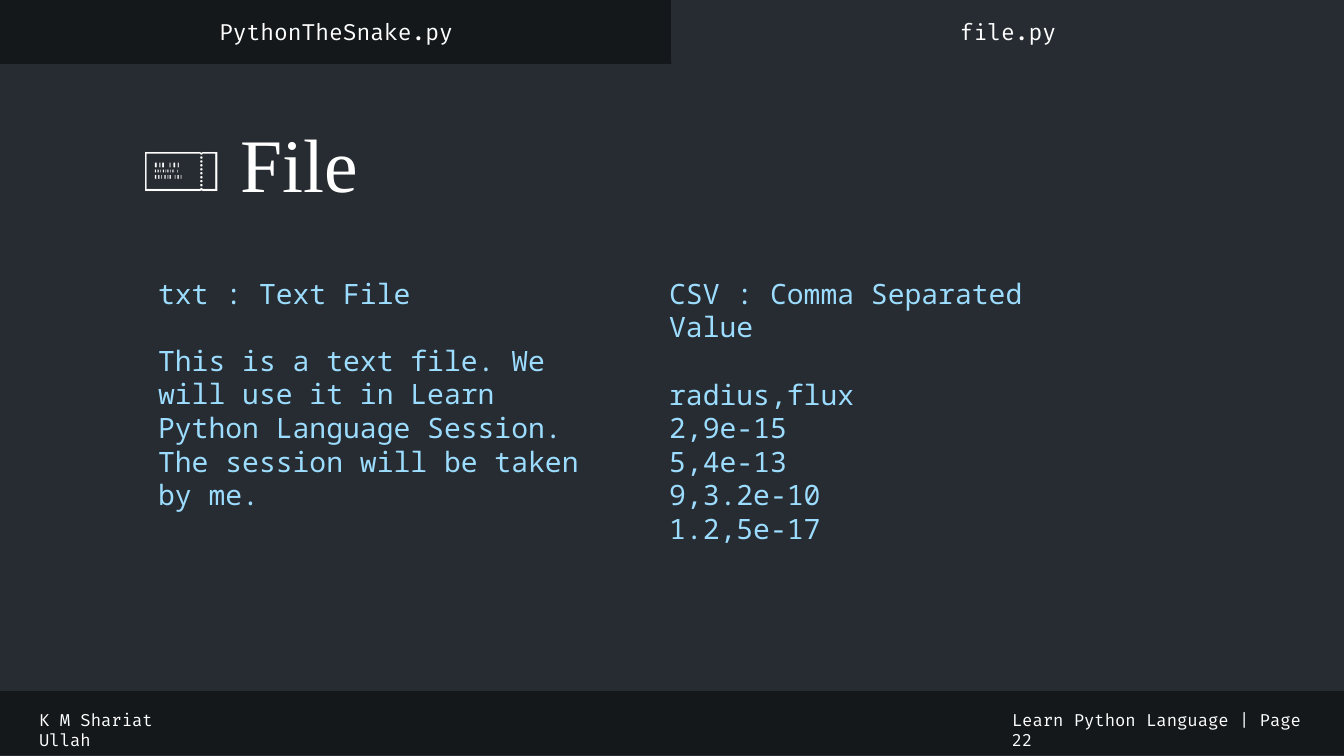
from dataclasses import dataclass

from pptx import Presentation
from pptx import util as u
from pptx.dml.color import RGBColor
from pptx.enum import shapes, text

COLS, ROWS = 40, 24


@dataclass(frozen=True)
class Theme:
    back: str = "282B33"
    panel: str = "262C31"
    bar: str = "14181B"
    white: str = "FFFFFF"
    code: str = "9CDCFE"
    small: int = 12
    tab: int = 16
    body: int = 20
    title: int = 54
    gap: int = 24
    ui: str = "Fira Code"
    mono: str = "Noto Sans Mono"
    serif: str = "Times New Roman"


@dataclass(frozen=True)
class Area:
    """A place on the grid, in columns and rows."""
    col: float
    row: float
    wide: float
    high: float


@dataclass(frozen=True)
class Panel:
    area: Area
    fill: str
    label: str = ""


@dataclass(frozen=True)
class Note:
    area: Area
    lines: tuple[str, ...]
    font: str
    size: int
    color: str
    gap: int = 0


THEME = Theme()

PANELS = (
    Panel(Area(0, -0.06, COLS, 24.03), THEME.panel),
    Panel(Area(0, 21.95, COLS, 2), THEME.bar),
    Panel(Area(0, 0, COLS / 2, 2), THEME.bar, "PythonTheSnake.py"),
    Panel(Area(COLS / 2, 0, COLS / 2, 2), THEME.panel, "file.py"),
)

NOTES = (
    Note(Area(29.82, 22.37, 10.05, 0.96), ("Learn Python Language | Page 22",),
         THEME.ui, THEME.small, THEME.white),
    Note(Area(0.87, 22.37, 5.79, 0.96), ("K M Shariat Ullah",),
         THEME.ui, THEME.small, THEME.white),
    Note(Area(3.96, 3.55, 7.83, 3.23), ("🎫 File",),
         THEME.serif, THEME.title, THEME.white),
    Note(Area(19.62, 8.61, 13.53, 7.87),
         ("CSV : Comma Separated Value", "radius,flux", "2,9e-15",
          "5,4e-13", "9,3.2e-10", "1.2,5e-17"),
         THEME.mono, THEME.body, THEME.code, THEME.gap),
    Note(Area(4.41, 8.61, 13.53, 6.78),
         ("txt : Text File",
          "This is a text file. We will use it in Learn Python Language "
          "Session. The session will be taken by me."),
         THEME.mono, THEME.body, THEME.code, THEME.gap),
)


def place(deck, area: Area) -> tuple[int, int, int, int]:
    """Turn a grid area into left, top, width and height."""
    col, row = deck.slide_width / COLS, deck.slide_height / ROWS
    return (round(area.col * col), round(area.row * row),
            round(area.wide * col), round(area.high * row))


def style(frame, font: str, size: int, color: str) -> None:
    for para in frame.paragraphs:
        for run in para.runs:
            run.font.name = font
            run.font.size = u.Pt(size)
            run.font.color.rgb = RGBColor.from_string(color)


def draw_panel(deck, slide, panel: Panel) -> None:
    box = slide.shapes.add_shape(shapes.MSO_SHAPE.RECTANGLE,
                                 *place(deck, panel.area))
    box.shadow.inherit = False
    box.fill.solid()
    box.fill.fore_color.rgb = RGBColor.from_string(panel.fill)
    box.line.color.rgb = RGBColor.from_string(panel.fill)
    box.line.width = u.Pt(1)
    if panel.label:
        frame = box.text_frame
        frame.text = panel.label
        frame.vertical_anchor = text.MSO_ANCHOR.MIDDLE
        frame.paragraphs[0].alignment = text.PP_ALIGN.CENTER
        style(frame, THEME.ui, THEME.tab, THEME.white)


def draw_note(deck, slide, note: Note) -> None:
    frame = slide.shapes.add_textbox(*place(deck, note.area)).text_frame
    frame.text = "\n".join(note.lines)
    frame.word_wrap = True
    frame.auto_size = text.MSO_AUTO_SIZE.SHAPE_TO_FIT_TEXT
    if note.gap:
        frame.paragraphs[0].space_after = u.Pt(note.gap)
    style(frame, note.font, note.size, note.color)


def main() -> None:
    deck = Presentation()
    deck.slide_width, deck.slide_height = u.Inches(13.33), u.Inches(7.5)
    slide = deck.slides.add_slide(deck.slide_layouts[6])
    slide.background.fill.solid()
    slide.background.fill.fore_color.rgb = RGBColor.from_string(THEME.back)
    for panel in PANELS:
        draw_panel(deck, slide, panel)
    for note in NOTES:
        draw_note(deck, slide, note)
    deck.save("out.pptx")


if __name__ == "__main__":
    main()
